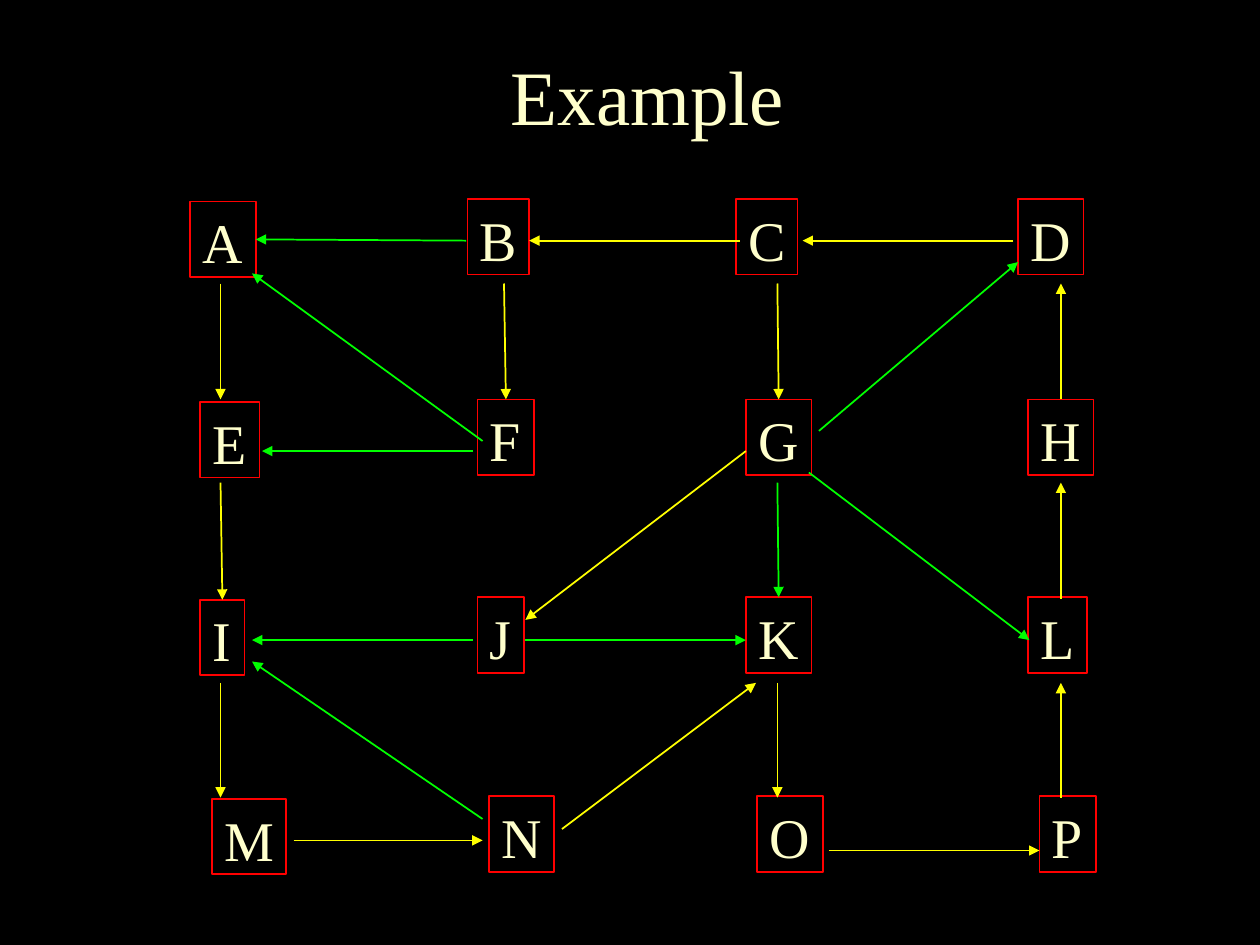
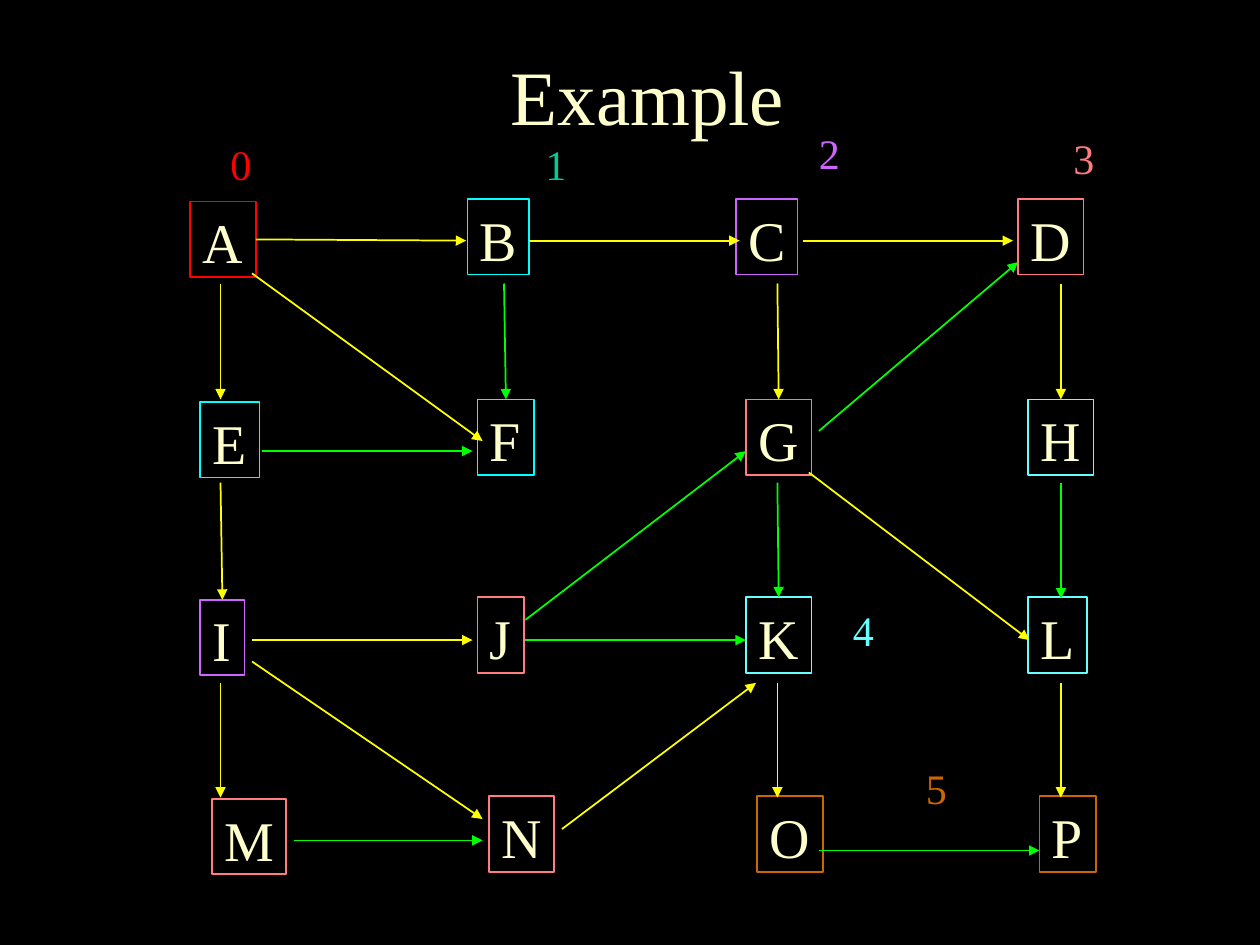
from math import dist

from lxml import etree
from pptx import Presentation
from pptx import util as u
from pptx.dml.color import RGBColor
from pptx.enum import shapes, text
from pptx.oxml import ns

# Shared look
FONT = "Times New Roman"
BLACK, CREAM, RED = "000000", "FFFFCC", "FF0000"
YELLOW, GREEN = "FFFF00", "00FF00"
LEVEL_COLOURS = [RED, "00FFFF", "CC66FF", "FF7C80", "66FFFF", "CC6600"]

# Node grid: four columns, each row stepping slightly to the right
NODES = "ABCDEFGHIJKLMNOP"
COLUMN_LEFTS = [1.51, 3.71, 5.84, 8.08]
ROW_SHIFTS = [0, 0.08, 0.08, 0.17]
ROW_TOPS = [1.58, 3.17, 4.74, 6.32]
NODE_WIDTHS = [0.52, 0.49, 0.49, 0.52, 0.47, 0.45, 0.52, 0.52,
               0.35, 0.37, 0.52, 0.47, 0.59, 0.52, 0.52, 0.45]
NODE_HEIGHT = 0.6
JOIN_DISTANCE = 0.025

# Graph edges, named by their end nodes: x and y of start, x and y of end
EDGES = {
    "AB": (2.04, 1.91, 3.7, 1.91), "BC": (4.2, 1.91, 5.87, 1.91),
    "CD": (6.37, 1.91, 8.04, 1.91), "EF": (2.08, 3.58, 3.75, 3.58),
    "IJ": (2, 5.08, 3.75, 5.08), "JK": (4.17, 5.08, 5.92, 5.08),
    "MN": (2.33, 6.67, 3.83, 6.67), "OP": (6.58, 6.75, 8.25, 6.75),
    "AF": (2, 2.17, 3.83, 3.5), "IN": (2, 5.25, 3.83, 6.5),
    "JG": (4.17, 4.92, 5.92, 3.58), "GD": (6.5, 3.42, 8.08, 2.08),
    "NK": (4.46, 6.58, 6, 5.42), "GL": (6.42, 3.75, 8.17, 5.08),
}
ROW_GAPS = [(2.25, 3.17), (3.83, 4.75), (5.42, 6.33)]
for x, column in [(1.75, "AEIM"), (4, "BF"), (6.17, "CGKO"), (8.42, "DHLP")]:
    for start, end, (top, bottom) in zip(column, column[1:], ROW_GAPS):
        EDGES[start + end] = (x, top, x, bottom)

# What differs between the two searches
SEARCHES = [
    {"levels": "0" * 16, "labels": [], "op_start": 6.58,
     "reversed": "AB BC CD DH HL LP EF IJ AF IN JG".split(),
     "green": "AB GK EF IJ JK AF IN GD GL".split()},
    {"levels": "0123113423443355", "op_start": 6.5, "reversed": [],
     "green": "BF GK HL EF MN OP JK JG GD".split(),
     "labels": [(1.73, 1.05, RED), (4.23, 1.05, "00CC99"),
                (6.4, 0.96, "CC66FF"), (8.42, 1, "FF7C80"),
                (6.67, 4.75, "66FFFF"), (7.25, 6, "CC6600")]},
]


def colour(target, value):
    """Give a fill or a font the colour of a hex string."""
    if hasattr(target, "solid"):
        target.solid()
        target.fore_color.rgb = RGBColor.from_string(value)
    else:
        target.color.rgb = RGBColor.from_string(value)


def write(shape, words, size, value):
    """Put one formatted line of text in a shape that grows with it."""
    frame = shape.text_frame
    frame.text = words
    frame.word_wrap = False
    frame.auto_size = text.MSO_AUTO_SIZE.SHAPE_TO_FIT_TEXT
    frame.vertical_anchor = text.MSO_ANCHOR.TOP
    paragraph = frame.paragraphs[0]
    paragraph.alignment = text.PP_ALIGN.LEFT
    font = paragraph.runs[0].font
    font.name, font.size = FONT, u.Pt(size)
    colour(font, value)


presentation = Presentation()
presentation.slide_width, presentation.slide_height = u.Inches(10), u.Inches(7.5)
colour(presentation.slide_master.background.fill, BLACK)

for search in SEARCHES:
    slide = presentation.slides.add_slide(presentation.slide_layouts[5])

    # Title
    title = slide.shapes.title
    title.left, title.top = u.Inches(0.28), u.Inches(0.25)
    title.width, title.height = u.Inches(9.72), u.Inches(1)
    write(title, "Example", 44, CREAM)
    title.text_frame.word_wrap = True
    title.text_frame.vertical_anchor = text.MSO_ANCHOR.MIDDLE
    title.text_frame.paragraphs[0].alignment = text.PP_ALIGN.CENTER

    # Nodes, with the middles of their sides (top, left, bottom, right)
    boxes, sides = {}, {}
    for index, (node, width) in enumerate(zip(NODES, NODE_WIDTHS)):
        row, column = divmod(index, 4)
        left = COLUMN_LEFTS[column] + ROW_SHIFTS[row]
        top = ROW_TOPS[row] + (0.02 if column == 0 else 0)
        box = slide.shapes.add_shape(
            shapes.MSO_SHAPE.RECTANGLE, u.Inches(left), u.Inches(top),
            u.Inches(width), u.Inches(NODE_HEIGHT))
        box.shadow.inherit = False
        box.fill.background()
        box.line.width = u.Pt(1)
        colour(box.line.fill, LEVEL_COLOURS[int(search["levels"][index])])
        write(box, node, 32, CREAM)
        centre, middle = left + width / 2, top + NODE_HEIGHT / 2
        boxes[node] = box
        sides[node] = [(centre, top), (left, middle),
                       (centre, top + NODE_HEIGHT), (left + width, middle)]

    # Edges
    for edge, (x1, y1, x2, y2) in EDGES.items():
        if edge == "OP":
            x1 = search["op_start"]
        ends = [(edge[0], (x1, y1)), (edge[1], (x2, y2))]
        if edge in search["reversed"]:
            ends.reverse()
        (start_node, start), (end_node, end) = ends
        arrow = slide.shapes.add_connector(
            shapes.MSO_CONNECTOR.STRAIGHT, *map(u.Inches, start + end))
        arrow.line.width = u.Pt(1)
        colour(arrow.line.fill, GREEN if edge in search["green"] else YELLOW)
        line = arrow.line.fill._xPr
        etree.SubElement(line, ns.qn("a:tailEnd"), type="triangle")
        etree.SubElement(line.getparent(), ns.qn("a:effectLst"))
        for node, point, connect in [(start_node, start, arrow.begin_connect),
                                     (end_node, end, arrow.end_connect)]:
            for site, side in enumerate(sides[node]):
                if dist(point, side) < JOIN_DISTANCE:
                    connect(boxes[node], site)

    # Level numbers
    for level, (left, top, value) in enumerate(search["labels"]):
        label = slide.shapes.add_textbox(
            u.Inches(left), u.Inches(top), u.Inches(0.36), u.Inches(0.47))
        write(label, str(level), 24, value)

presentation.save("out.pptx")
